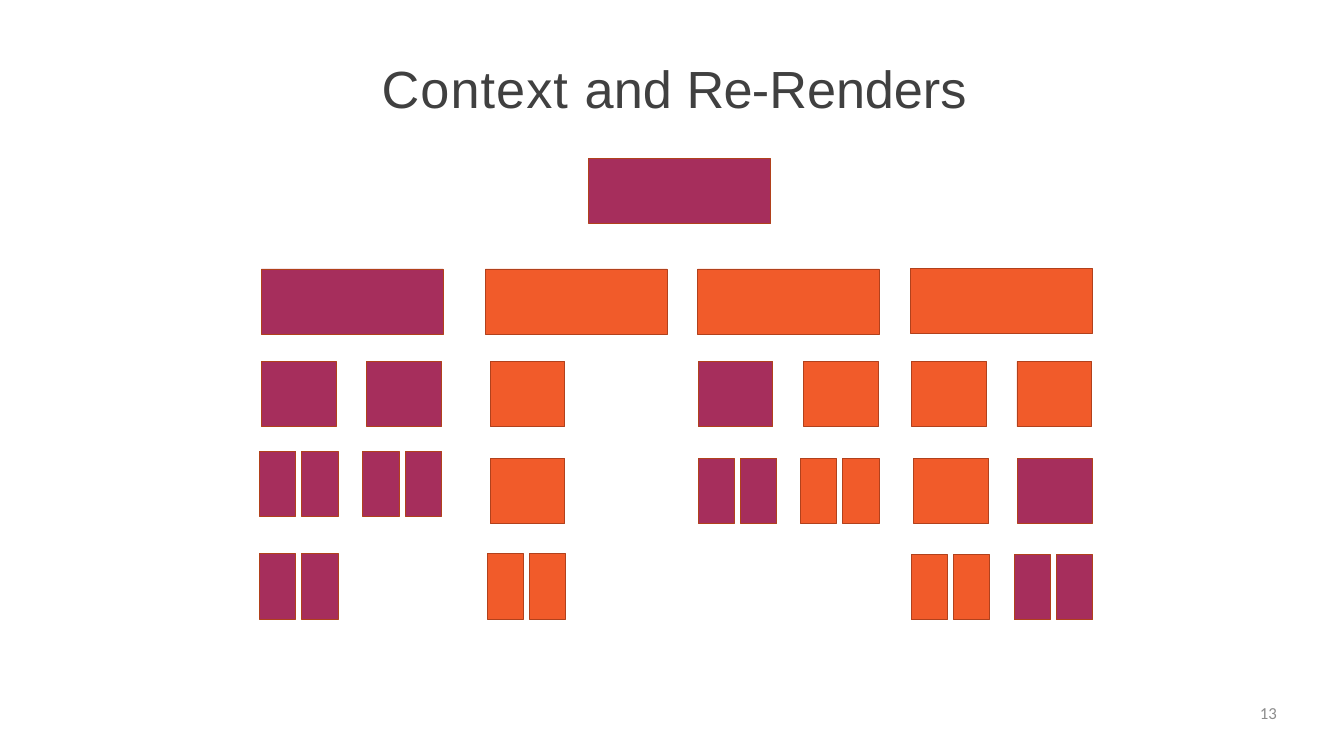
from typing import NamedTuple

from pptx import Presentation
from pptx.dml.color import RGBColor
from pptx.enum.shapes import MSO_SHAPE
from pptx.enum.text import PP_ALIGN
from pptx.util import Pt

RECT = MSO_SHAPE.RECTANGLE
LEFT, RIGHT = PP_ALIGN.LEFT, PP_ALIGN.RIGHT

COLORS = {
    "plum": "A62E5C",
    "orange": "F15B2A",
    "edge": "B1411C",
    "title": "404040",
    "number": "8C8C8C",
}

HEIGHT = 70
WIDE, BOX, SLIM = 194.7, 80.2, 39
PITCH = 45.3


class Node(NamedTuple):
    left: float
    top: float
    width: float
    color: str
    copies: int = 1


class Label(NamedTuple):
    left: float
    top: float
    width: float
    height: float
    words: list[tuple[str, float]]
    font: str
    size: float
    color: str
    align: PP_ALIGN
    indent: float = 0
    inset: float = 0


NODES = [
    Node(630.9, 170, WIDE, "plum"),

    Node(280, 288.2, WIDE, "plum"),
    Node(280, 387.2, BOX, "plum"),
    Node(393, 387.2, BOX, "plum"),
    Node(278, 483.3, SLIM, "plum", 2),
    Node(388.8, 483.3, SLIM, "plum", 2),
    Node(278, 593.5, SLIM, "plum", 2),

    Node(520, 288.2, WIDE, "orange"),
    Node(525, 387.2, BOX, "orange"),
    Node(525, 491, BOX, "orange"),
    Node(522, 593.5, SLIM, "orange", 2),

    Node(747.4, 288.2, WIDE, "orange"),
    Node(748, 387.2, BOX, "plum"),
    Node(861, 387.2, BOX, "orange"),
    Node(748, 491, SLIM, "plum", 2),
    Node(857.5, 491, SLIM, "orange", 2),

    Node(975.8, 287.2, WIDE, "orange"),
    Node(977, 387.2, BOX, "orange"),
    Node(1089.6, 387.2, BOX, "orange"),
    Node(979, 491, BOX, "orange"),
    Node(1090.2, 491, BOX, "plum"),
    Node(976.2, 594.2, SLIM, "orange", 2),
    Node(1086.5, 594.2, SLIM, "plum", 2),
]

LABELS = [
    Label(218.2, 59, 1003.7, 69,
          [("Context ", 1.1), ("and ", 0), ("Re-", -0.8), ("Renders", -0.1)],
          "Arial", 56, "title", LEFT, 190.8, 1.7),
    Label(1036.8, 753, 331.2, 40.3, [("13", 0)],
          "Calibri", 18, "number", RIGHT),
]


def paint(name: str) -> RGBColor:
    return RGBColor.from_string(COLORS[name])


def draw_node(slide, node: Node) -> None:
    for i in range(node.copies):
        shape = slide.shapes.add_shape(
            RECT, Pt(node.left + i * PITCH), Pt(node.top),
            Pt(node.width), Pt(HEIGHT))
        shape.shadow.inherit = False
        shape.fill.solid()
        shape.fill.fore_color.rgb = paint(node.color)
        shape.line.color.rgb = paint("edge")
        shape.line.width = Pt(1)


def draw_label(slide, label: Label) -> None:
    box = slide.shapes.add_textbox(
        Pt(label.left), Pt(label.top), Pt(label.width), Pt(label.height))
    frame = box.text_frame
    frame.word_wrap = True
    frame.margin_left = frame.margin_right = frame.margin_bottom = 0
    frame.margin_top = Pt(label.inset)
    para = frame.paragraphs[0]
    para.alignment = label.align
    if label.indent:
        para._p.get_or_add_pPr().set("marL", str(Pt(label.indent)))
    for text, space in label.words:
        run = para.add_run()
        run.text = text
        run.font.name = label.font
        run.font.size = Pt(label.size)
        run.font.color.rgb = paint(label.color)
        if space:
            run._r.get_or_add_rPr().set("spc", str(round(space * 100)))


def main() -> None:
    deck = Presentation()
    deck.slide_width, deck.slide_height = Pt(1440), Pt(810)
    slide = deck.slides.add_slide(deck.slide_layouts[6])
    for node in NODES:
        draw_node(slide, node)
    for label in LABELS:
        draw_label(slide, label)
    deck.save("out.pptx")


if __name__ == "__main__":
    main()
